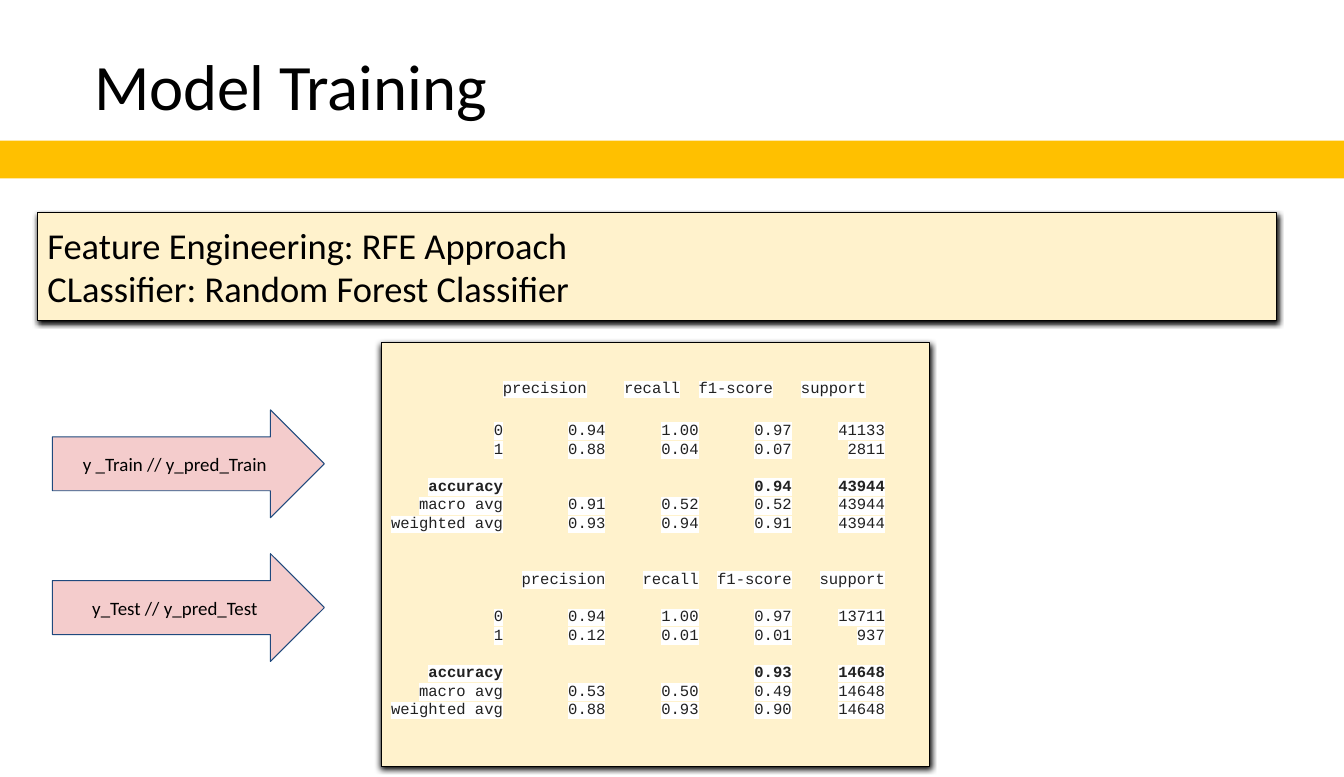
from dataclasses import dataclass

from lxml.etree import SubElement
from pptx import Presentation
from pptx.dml.color import RGBColor
from pptx.enum.shapes import MSO_SHAPE
from pptx.enum.text import MSO_ANCHOR, PP_ALIGN
from pptx.oxml.ns import qn
from pptx.util import Cm, Pt


@dataclass(frozen=True)
class Theme:
    """Hold the colours, fonts and type sizes of the slide."""
    black: str = "000000"
    white: str = "FFFFFF"
    band: str = "FFC000"
    panel: str = "FFF2CC"
    arrow: str = "F4CCCC"
    arrow_line: str = "1F497D"
    report_text: str = "212121"
    body_font: str = "Calibri"
    report_font: str = "Courier New"
    title_size: float = 48
    summary_size: float = 27
    arrow_size: float = 14
    report_size: float = 11.5
    report_pitch: float = 13.8


THEME = Theme()
COLUMN_ENDS = (12, 23, 33, 43, 53)
HEADER = ("precision", "recall", "f1-score", "support")
TRAIN_ROWS = (
    ("0", "0.94", "1.00", "0.97", "41133"),
    ("1", "0.88", "0.04", "0.07", "2811"),
    ("accuracy", "", "", "0.94", "43944"),
    ("macro avg", "0.91", "0.52", "0.52", "43944"),
    ("weighted avg", "0.93", "0.94", "0.91", "43944"),
)
TEST_ROWS = (
    ("0", "0.94", "1.00", "0.97", "13711"),
    ("1", "0.12", "0.01", "0.01", "937"),
    ("accuracy", "", "", "0.93", "14648"),
    ("macro avg", "0.53", "0.50", "0.49", "14648"),
    ("weighted avg", "0.88", "0.93", "0.90", "14648"),
)


def add_text(paragraph, text, *, size, font=THEME.body_font, color=THEME.black,
             bold=False, highlight=None):
    """Add a formatted run to a paragraph."""
    run = paragraph.add_run()
    run.text = text
    run.font.size = Pt(size)
    run.font.bold = bold
    run.font.color.rgb = RGBColor.from_string(color)
    if highlight:
        marker = SubElement(run.font._element, qn("a:highlight"))
        SubElement(marker, qn("a:srgbClr"), val=highlight)
    run.font.name = font


def next_paragraph(frame):
    """Return the unused first paragraph or a new one."""
    first = frame.paragraphs[0]
    return frame.add_paragraph() if first.runs else first


def add_title(slide, text):
    """Add the slide title."""
    frame = slide.shapes.add_textbox(Cm(2.46), Cm(1.17), Cm(23.93), Cm(2.08)).text_frame
    frame.word_wrap = True
    frame.margin_left = frame.margin_right = frame.margin_bottom = 0
    frame.margin_top = Cm(0.03)
    add_text(frame.paragraphs[0], text, size=THEME.title_size)


def add_box(slide, kind, left, top, width, height, *, fill, line=None):
    """Add a filled shape with left-aligned, vertically centred text."""
    shape = slide.shapes.add_shape(kind, Cm(left), Cm(top), Cm(width), Cm(height))
    shape.shadow.inherit = False
    shape.fill.solid()
    shape.fill.fore_color.rgb = RGBColor.from_string(fill)
    if line:
        shape.line.color.rgb = RGBColor.from_string(line)
        shape.line.width = Pt(0.75)
    else:
        shape.line.fill.background()
    frame = shape.text_frame
    frame.word_wrap = True
    frame.vertical_anchor = MSO_ANCHOR.MIDDLE
    frame.margin_left = frame.margin_right = Cm(0.25)
    frame.margin_top = frame.margin_bottom = Cm(0.25)
    frame.paragraphs[0].alignment = PP_ALIGN.LEFT
    return shape


def add_panel(slide, left, top, width, height):
    """Add a cream panel with a drop shadow and return its text frame."""
    shape = add_box(slide, MSO_SHAPE.RECTANGLE, left, top, width, height,
                    fill=THEME.panel, line=THEME.black)
    effects = shape._element.spPr.find(qn("a:effectLst"))
    shadow = SubElement(effects, qn("a:outerShdw"), blurRad=str(Pt(4.5)),
                        dist=str(Pt(1.5)), dir="5400000", algn="bl", rotWithShape="0")
    SubElement(shadow, qn("a:srgbClr"), val=THEME.black)
    return shape.text_frame


def add_arrow(slide, top, text):
    """Add a labelled arrow that points at the report."""
    shape = add_box(slide, MSO_SHAPE.RIGHT_ARROW, 1.37, top, 7.11, 2.82,
                    fill=THEME.arrow, line=THEME.arrow_line)
    paragraph = shape.text_frame.paragraphs[0]
    paragraph.alignment = PP_ALIGN.CENTER
    add_text(paragraph, text, size=THEME.arrow_size)


def add_report_line(frame, cells, column_ends, gap=0, **style):
    """Add one report line with its cells on right-aligned tab stops."""
    paragraph = next_paragraph(frame)
    paragraph.alignment = PP_ALIGN.LEFT
    paragraph.line_spacing = Pt(THEME.report_pitch)
    paragraph.space_before = Pt(gap * THEME.report_pitch)
    tabs = SubElement(paragraph._p.get_or_add_pPr(), qn("a:tabLst"))
    for end in column_ends:
        position = Pt(end * 0.6 * THEME.report_size) + Cm(0.02)
        SubElement(tabs, qn("a:tab"), pos=str(position), algn="r")
    style = dict(size=THEME.report_size, font=THEME.report_font,
                 color=THEME.report_text, highlight=THEME.white) | style
    lead = {**style, "highlight": style.pop("lead_highlight", THEME.white)}
    lead.pop("lead_highlight", None)
    add_text(paragraph, "\t", **lead)
    add_text(paragraph, "\t".join(cells), **style)


def add_report(frame, rows, *, header_shift=0, header_gap=0, body_gap=1,
               header_lead=THEME.white):
    """Add a classification report with its header and rows."""
    header_ends = [end - header_shift for end in COLUMN_ENDS[1:]]
    add_report_line(frame, HEADER, header_ends, header_gap, lead_highlight=header_lead)
    gaps = {"0": body_gap, "accuracy": 1}
    for row in rows:
        add_report_line(frame, row, COLUMN_ENDS, gaps.get(row[0], 0),
                        bold=row[0] == "accuracy")


def main():
    """Build and save the slide."""
    presentation = Presentation()
    presentation.slide_width, presentation.slide_height = Cm(35.13), Cm(20.32)
    slide = presentation.slides.add_slide(presentation.slide_layouts[6])
    add_title(slide, "Model Training")
    add_box(slide, MSO_SHAPE.RECTANGLE, 0, 3.68, 35.13, 0.99, fill=THEME.band)
    summary = add_panel(slide, 0.99, 5.56, 32.39, 2.82)
    for line in ("Feature Engineering: RFE Approach",
                 "CLassifier: Random Forest Classifier"):
        paragraph = next_paragraph(summary)
        paragraph.alignment = PP_ALIGN.LEFT
        add_text(paragraph, line, size=THEME.summary_size)
    report = add_panel(slide, 9.96, 8.97, 14.35, 11.07)
    report.margin_bottom = Cm(0.6)
    add_report(report, TRAIN_ROWS, header_shift=2, body_gap=1.25, header_lead=None)
    add_report(report, TEST_ROWS, header_gap=2)
    add_arrow(slide, 10.72, "y _Train // y_pred_Train")
    add_arrow(slide, 14.48, "y_Test // y_pred_Test")
    presentation.save("out.pptx")


if __name__ == "__main__":
    main()
